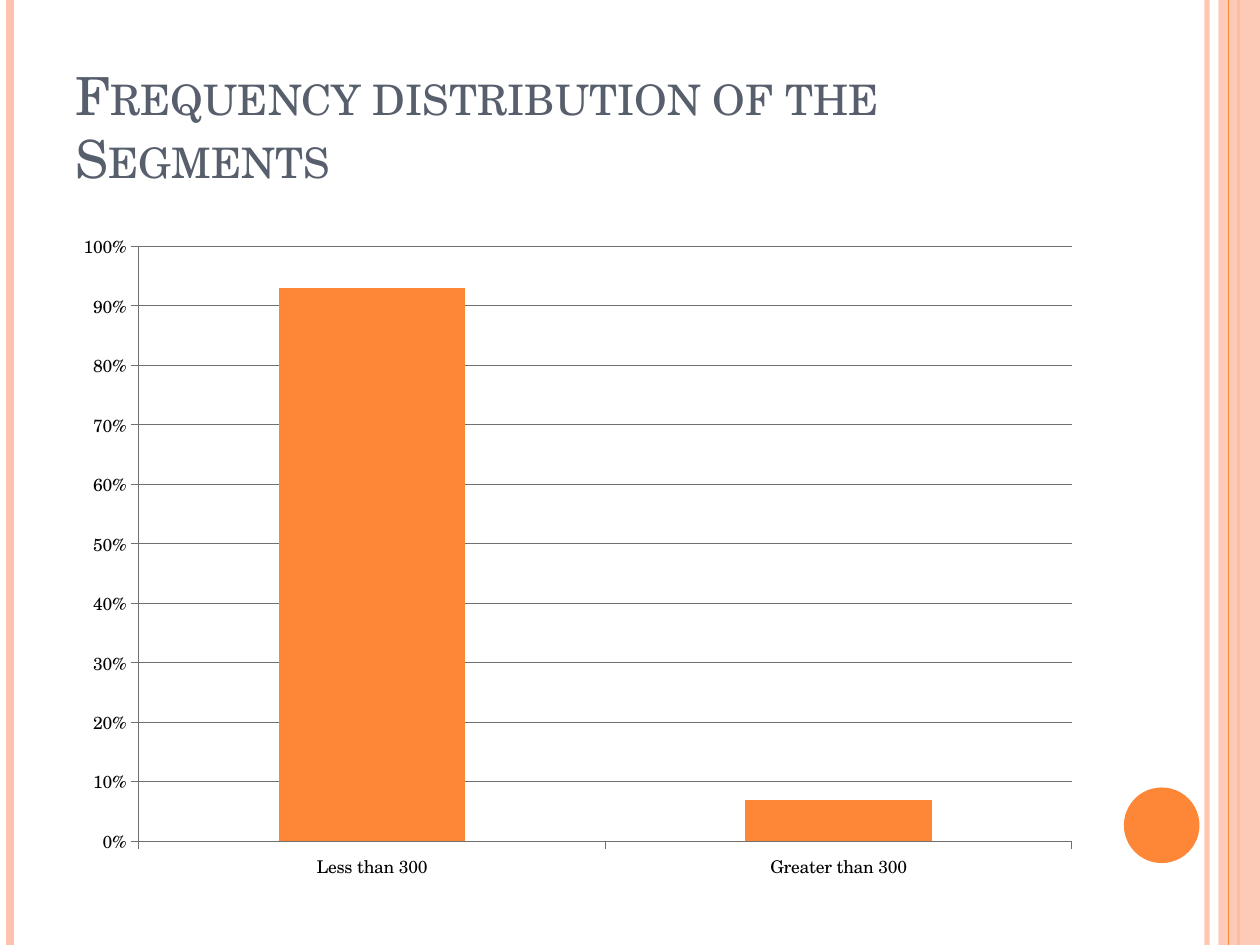
from lxml import etree
from pptx import Presentation
from pptx.chart.data import CategoryChartData
from pptx.dml.color import RGBColor
from pptx.enum.chart import XL_CHART_TYPE, XL_TICK_MARK
from pptx.enum.shapes import MSO_CONNECTOR, MSO_SHAPE
from pptx.enum.text import MSO_ANCHOR
from pptx.oxml.ns import qn
from pptx.util import Inches, Pt

FONT = "TeX Gyre Schola"
ORANGE, PEACH = "FE8637", "FEC3AE"
SLATE, BLACK, GRAY = "575F6D", "000000", "707070"


def rgb(value):
    return RGBColor.from_string(value)


def set_alpha(fill, percent):
    """Make a solid fill partly transparent; percent is its opacity."""
    color = fill._xPr.find(qn("a:solidFill"))[0]
    etree.SubElement(color, qn("a:alpha"), val=str(percent * 1000))


class SlideBuilder:
    def __init__(self, slide, font):
        self.s = slide
        self.font = font

    def vertical_line(self, x, color, width, opacity=100):
        """Draw a line over the full slide height."""
        line = self.s.shapes.add_connector(
            MSO_CONNECTOR.STRAIGHT, Inches(x), 0, Inches(x), Inches(7.5))
        line.line.color.rgb = rgb(color)
        line.line.width = Pt(width)
        if opacity < 100:
            set_alpha(line.line.fill, opacity)
        etree.SubElement(line._element.spPr, qn("a:effectLst"))

    def shape(self, kind, box, color, opacity=100):
        sp = self.s.shapes.add_shape(kind, *map(Inches, box))
        sp.shadow.inherit = False
        sp.fill.solid()
        sp.fill.fore_color.rgb = rgb(color)
        if opacity < 100:
            set_alpha(sp.fill, opacity)
        sp.line.fill.background()

    def title(self, text, box, size, color):
        tf = self.s.shapes.add_textbox(*map(Inches, box)).text_frame
        tf.word_wrap = True
        tf.vertical_anchor = MSO_ANCHOR.BOTTOM
        r = tf.paragraphs[0].add_run()
        r.text = text
        r.font.name = self.font
        r.font.size = Pt(size)
        r.font.color.rgb = rgb(color)
        r._r.get_or_add_rPr().set("cap", "small")

    def column_chart(self, box, categories, name, values, color):
        data = CategoryChartData(number_format="0%")
        data.categories = categories
        data.add_series(name, values)
        chart = self.s.shapes.add_chart(
            XL_CHART_TYPE.COLUMN_CLUSTERED, *map(Inches, box), data).chart
        chart.has_legend = False
        chart.has_title = False
        chart.font.name = self.font
        chart.font.size = Pt(10)
        chart.font.color.rgb = rgb(BLACK)

        plot = chart.plots[0]
        plot.vary_by_categories = False
        plot.gap_width = 150
        fill = plot.series[0].format.fill
        fill.solid()
        fill.fore_color.rgb = rgb(color)

        value_axis = chart.value_axis
        value_axis.minimum_scale = 0
        value_axis.maximum_scale = 1
        value_axis.major_unit = 0.1
        value_axis.has_major_gridlines = True
        value_axis.tick_labels.number_format = "0%"
        value_axis.tick_labels.number_format_is_linked = False
        for axis in (chart.category_axis, value_axis):
            axis.major_tick_mark = XL_TICK_MARK.OUTSIDE
        for part in (chart.category_axis, value_axis, value_axis.major_gridlines):
            part.format.line.color.rgb = rgb(GRAY)
            part.format.line.width = Pt(0.75)


def main():
    prs = Presentation()
    prs.slide_width, prs.slide_height = Inches(10), Inches(7.5)
    slide = SlideBuilder(prs.slides.add_slide(prs.slide_layouts[6]), FONT)

    slide.vertical_line(9.58, PEACH, 3, 93)
    slide.vertical_line(0.08, PEACH, 4.5)
    slide.vertical_line(9.83, ORANGE, 1.5)
    slide.shape(MSO_SHAPE.RECTANGLE, (9.67, 0, 0.33, 7.5), PEACH, 87)
    slide.vertical_line(9.75, ORANGE, 0.75)
    slide.shape(MSO_SHAPE.OVAL, (8.92, 6.25, 0.6, 0.6), ORANGE)

    slide.title("Frequency distribution of the Segments",
                (0.5, 0.3, 8.17, 1.25), 30, SLATE)
    slide.column_chart((0.5, 1.75, 8.17, 5.33),
                       ("Less than 300", "Greater than 300"),
                       "Series 1", (0.93, 0.07), ORANGE)
    prs.save("out.pptx")


if __name__ == "__main__":
    main()
